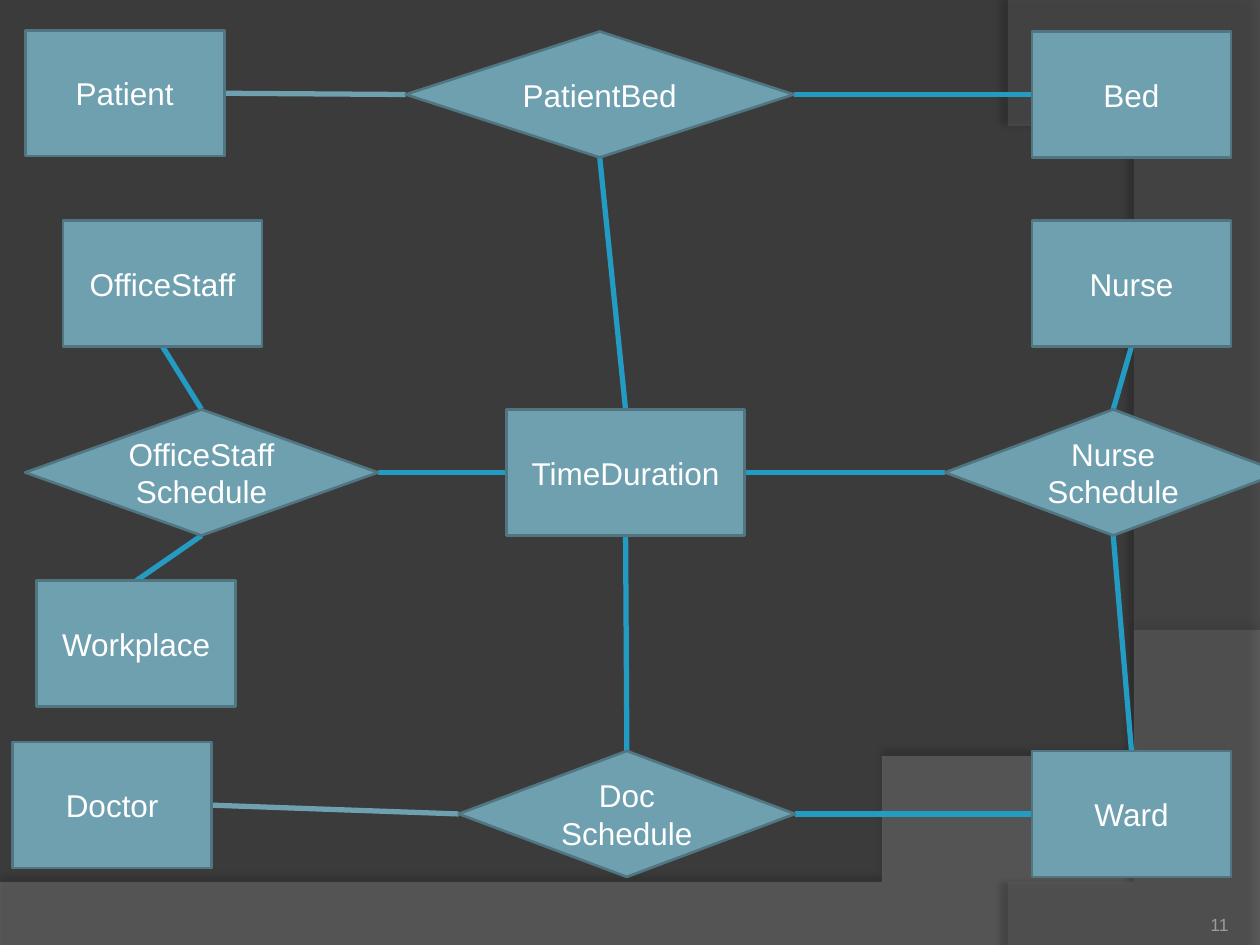
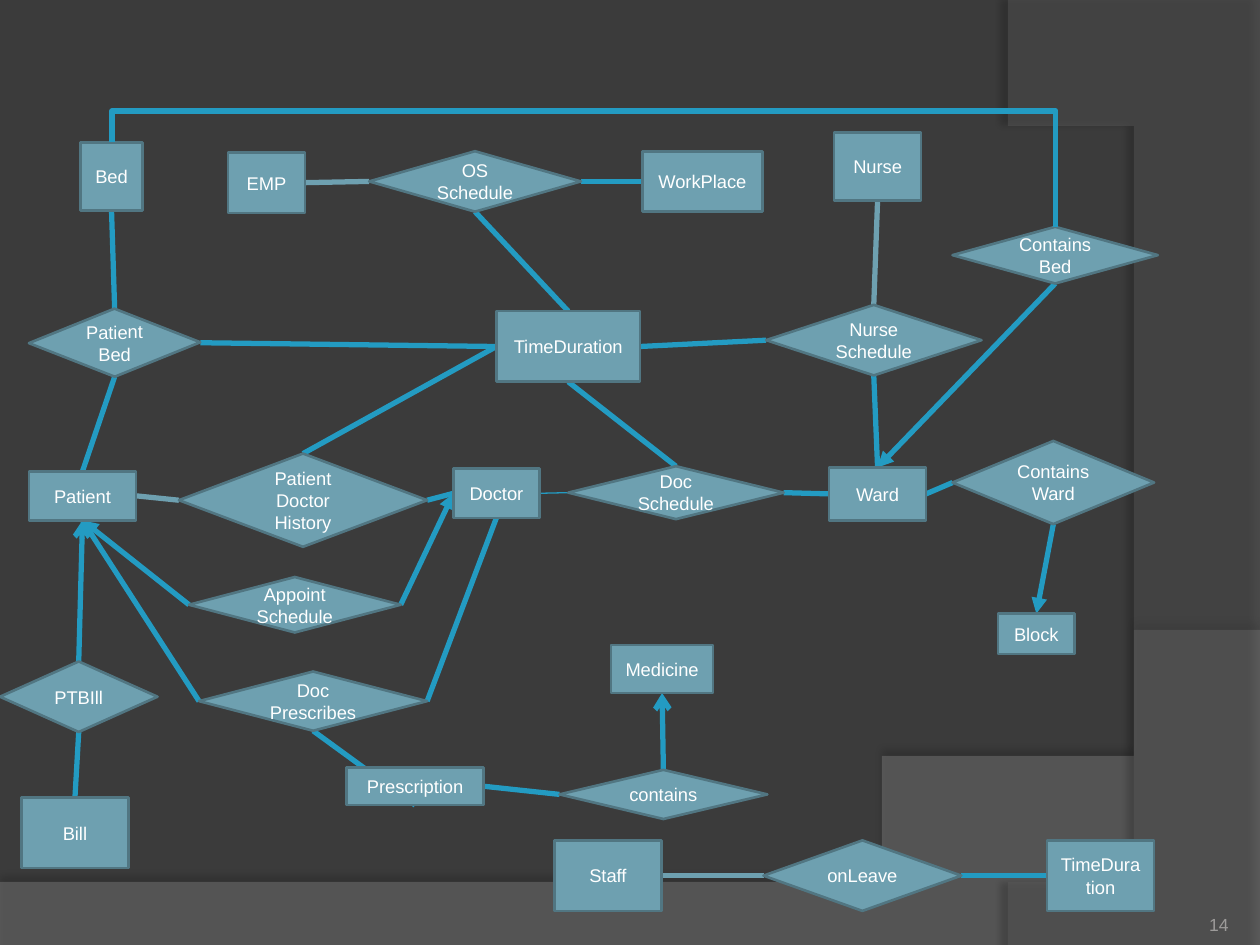
"""Build two entity-relationship slides for a hospital database."""
from dataclasses import dataclass
from enum import IntEnum

from lxml.etree import SubElement
from pptx import Presentation
from pptx.dml.color import RGBColor
from pptx.enum.shapes import MSO_CONNECTOR as Wire, MSO_SHAPE as Form
from pptx.enum.text import MSO_ANCHOR as Anchor, PP_ALIGN as Align
from pptx.oxml.ns import qn
from pptx.util import Cm, Pt

BACK = RGBColor(0x3B, 0x3B, 0x3B)
WAVE = RGBColor(0x7F, 0x7F, 0x7F)
ARC = RGBColor(0x5E, 0x5E, 0x5E)
TEAL = RGBColor(0x6E, 0xA0, 0xB0)
EDGE = RGBColor(0x51, 0x76, 0x82)
BLUE = RGBColor(0x23, 0x9B, 0xC2)
WHITE = RGBColor(0xFF, 0xFF, 0xFF)
GREY = RGBColor(0x9D, 0x9B, 0x9A)
FONT = "Arial"
UNIT = Cm(2.54)


class Side(IntEnum):
    """Connection sites, as numbered on rectangles and diamonds."""
    TOP = 0
    LEFT = 1
    BASE = 2
    RIGHT = 3


TOP, LEFT, BASE, RIGHT = Side


@dataclass
class Node:
    """An entity (box) or a relation (diamond), in inches."""
    key: str
    text: str
    x: float
    y: float
    w: float = 1.58
    h: float = 1
    form: Form = Form.RECTANGLE
    turn: float = 0


@dataclass
class Link:
    """A line between sites of two nodes."""
    start: str
    out: Side
    end: str
    into: Side
    color: RGBColor = BLUE
    width: float = 3
    head: str = ""
    tail: str = ""


def inch(size: float) -> Cm:
    """Turn inches into a length."""
    return Cm(round(size * 2.54, 3))


def gem(key: str, text: str, x: float, y: float, w: float, h: float = 1,
        turn: float = 0) -> Node:
    """Make a diamond node."""
    return Node(key, text, x, y, w, h, Form.DIAMOND, turn)


def write(frame, text: str, *, size: float, color: RGBColor = WHITE,
          align: Align = Align.CENTER, anchor: Anchor = Anchor.MIDDLE) -> None:
    """Fill a text frame, one paragraph per line of text."""
    frame.word_wrap = True
    frame.vertical_anchor = anchor
    frame.text = text
    for para in frame.paragraphs:
        para.alignment = align
        font = para.runs[0].font
        font.name, font.size = FONT, Pt(size)
        font.color.rgb = color


def curve(a: tuple, b: tuple, c: tuple, d: tuple, steps: int = 40) -> list[tuple]:
    """Sample a cubic curve from a to d."""
    spots = []
    for i in range(steps + 1):
        t = i / steps
        u = 1 - t
        spots.append(tuple(u**3 * p + 3 * u * u * t * q + 3 * u * t * t * r + t**3 * s
                           for p, q, r, s in zip(a, b, c, d)))
    return spots


def band(deck, slide, spots: list[tuple], color: RGBColor, alpha: int,
         shade: int, gap: float, angle: int) -> None:
    """Draw a translucent band with a shadow and place it on the master."""
    pen = slide.shapes.build_freeform(*spots[0], scale=UNIT)
    pen.add_line_segments(spots[1:], close=True)
    shape = pen.convert_to_shape()
    shape.fill.solid()
    shape.fill.fore_color.rgb = color
    shape.line.fill.background()
    shape.shadow.inherit = False
    props = shape.element.spPr
    tone = props.find(qn("a:solidFill")).find(qn("a:srgbClr"))
    SubElement(tone, qn("a:alpha"), val=str(alpha * 1000))
    drop = SubElement(props.find(qn("a:effectLst")), qn("a:outerShdw"),
                      blurRad=str(Pt(4)), dist=str(Pt(gap)),
                      dir=str(angle * 60000), algn="ctr", rotWithShape="0")
    dark = SubElement(drop, qn("a:srgbClr"), val="000000")
    SubElement(dark, qn("a:alpha"), val=str(shade * 1000))
    tree = deck.slide_master.shapes.element
    shape.element.nvSpPr.cNvPr.set("id", str(100 + len(tree)))
    tree.insert(len(deck.slide_master.shapes) - len(deck.slide_master.placeholders) + 2,
                shape.element)


def dress(deck, slide) -> None:
    """Give the master its ground and two bands."""
    fill = deck.slide_master.background.fill
    fill.solid()
    fill.fore_color.rgb = BACK
    wave = curve((10, 5.2), (5.59, 7.29), (3.91, 7.19), (0, 7.05))
    band(deck, slide, [(0, 7.51), (10, 7.51), *wave], WAVE, 45, 35, 3.5, 270)
    arc = curve((8.21, 7.5), (9.35, 6.19), (10.18, 3), (8, 0))
    band(deck, slide, [(10, 0.02), (10, 7.5), *arc], ARC, 40, 45, 4, 180)


def box(slide, node: Node, size: float):
    """Draw a node."""
    shape = slide.shapes.add_shape(node.form, *map(inch, (node.x, node.y, node.w, node.h)))
    shape.rotation = node.turn
    shape.shadow.inherit = False
    shape.fill.solid()
    shape.fill.fore_color.rgb = TEAL
    shape.line.color.rgb = EDGE
    shape.line.width = Pt(1.5)
    write(shape.text_frame, node.text, size=size)
    return shape


def style(wire, color: RGBColor = BLUE, width: float = 3,
          head: str = "", tail: str = "") -> None:
    """Set colour, width and arrowheads of a connector."""
    wire.line.color.rgb = color
    wire.line.width = Pt(width)
    props = wire.element.spPr
    for tag, kind in (("a:headEnd", head), ("a:tailEnd", tail)):
        if kind:
            SubElement(props.find(qn("a:ln")), qn(tag), type=kind)
    SubElement(props, qn("a:effectLst"))


def join(slide, link: Link, made: dict) -> None:
    """Glue a line to its two nodes, behind them."""
    wire = slide.shapes.add_connector(Wire.STRAIGHT, 0, 0, 0, 0)
    wire.begin_connect(made[link.start], link.out)
    wire.end_connect(made[link.end], link.into)
    style(wire, link.color, link.width, link.head, link.tail)
    slide.shapes.element.insert(2, wire.element)


def loop(slide) -> None:
    """Draw the bent line over the top from Bed to Contains Bed."""
    wire = slide.shapes.add_connector(
        Wire.ELBOW, *map(inch, (4.97, -2.28, 4.3, 5.21)))
    wire.rotation = 270
    bend = wire.element.spPr.find(qn("a:prstGeom"))
    slot = bend.find(qn("a:avLst"))
    if slot is None:
        slot = SubElement(bend, qn("a:avLst"))
    SubElement(slot, qn("a:gd"), name="adj1", fmla="val -37200")
    style(wire)


def chart(slide, nodes: list[Node], links: list[Link], size: float, page: str) -> None:
    """Draw a whole diagram and its page number."""
    made = {node.key: box(slide, node, size) for node in nodes}
    for link in links:
        join(slide, link, made)
    frame = slide.shapes.add_textbox(*map(inch, (8.92, 7.02, 0.83, 0.4))).text_frame
    frame.margin_left = frame.margin_right = frame.margin_top = frame.margin_bottom = 0
    write(frame, page, size=10, color=GREY, align=Align.RIGHT, anchor=Anchor.BOTTOM)


SHIFTS = [
    Node("pat", "Patient", 0.2, 0.24),
    Node("bed", "Bed", 8.19, 0.25),
    gem("stay", "PatientBed", 3.22, 0.25, 3.08),
    Node("doc", "Doctor", 0.1, 5.89),
    Node("ward", "Ward", 8.19, 5.96),
    gem("duty", "Doc\nSchedule", 3.64, 5.96, 2.67),
    Node("time", "TimeDuration", 4.02, 3.25, 1.89),
    Node("nurse", "Nurse", 8.19, 1.75),
    gem("care", "Nurse\nSchedule", 7.5, 3.25, 2.67),
    gem("desk", "OfficeStaff\nSchedule", 0.2, 3.25, 2.8),
    Node("staff", "OfficeStaff", 0.5, 1.75),
    Node("place", "Workplace", 0.29, 4.61),
]
SHIFT_LINKS = [
    Link("stay", LEFT, "pat", RIGHT, TEAL),
    Link("stay", RIGHT, "bed", LEFT),
    Link("duty", LEFT, "doc", RIGHT, TEAL),
    Link("duty", RIGHT, "ward", LEFT),
    Link("duty", TOP, "time", BASE),
    Link("time", TOP, "stay", BASE),
    Link("time", RIGHT, "care", LEFT),
    Link("nurse", BASE, "care", TOP),
    Link("ward", TOP, "care", BASE),
    Link("desk", RIGHT, "time", LEFT),
    Link("desk", BASE, "place", TOP),
    Link("desk", TOP, "staff", BASE),
]
FULL = [
    Node("pat", "Patient", 0.23, 3.74, 0.85, 0.39),
    Node("doc", "Doctor", 3.6, 3.72, 0.68, 0.39),
    gem("past", "Patient\nDoctor\nHistory", 1.42, 3.6, 1.97, 0.74),
    gem("meet", "Appoint\nSchedule", 1.5, 4.58, 1.68, 0.44),
    Node("ward", "Ward", 6.58, 3.71, 0.77, 0.42),
    gem("duty", "Doc\nSchedule", 4.51, 3.7, 1.71, 0.42),
    Node("nurse", "Nurse", 6.62, 1.05, 0.69, 0.54),
    gem("care", "Nurse\nSchedule", 6.08, 2.42, 1.71, 0.56),
    Node("time", "TimeDuration", 3.94, 2.47, 1.14, 0.56),
    Node("bed", "Bed", 0.64, 1.13, 0.49, 0.54),
    gem("stay", "PatientBed", 0.23, 2.45, 1.36, 0.54, 359.7),
    gem("order", "Doc\nPrescribes", 1.58, 5.33, 1.81, 0.47),
    Node("script", "Prescription", 2.75, 6.09, 1.09, 0.3),
    gem("dose", "contains", 4.44, 6.11, 1.65, 0.39),
    Node("drug", "Medicine", 4.85, 5.12, 0.81, 0.38),
    Node("emp", "EMP", 1.81, 1.21, 0.61, 0.48),
    Node("place", "WorkPlace", 5.1, 1.2, 0.95, 0.48),
    gem("desk", "OS\nSchedule", 2.93, 1.2, 1.68, 0.48),
    Node("block", "Block", 7.92, 4.87, 0.61, 0.32),
    gem("wing", "Contains\nWard", 7.56, 3.5, 1.6, 0.66),
    gem("room", "Contains\nBed", 7.56, 1.8, 1.63, 0.45),
    Node("staff", "Staff", 4.4, 6.67, 0.85, 0.56),
    Node("span", "TimeDuration", 8.31, 6.67, 0.85, 0.56),
    gem("leave", "onLeave", 6.06, 6.67, 1.57, 0.56),
    gem("owes", "PTBIll", 0, 5.25, 1.25, 0.56),
    Node("bill", "Bill", 0.17, 6.33, 0.85, 0.56),
]
FULL_LINKS = [
    Link("past", LEFT, "pat", RIGHT, TEAL),
    Link("past", RIGHT, "doc", LEFT),
    Link("past", TOP, "time", LEFT),
    Link("meet", RIGHT, "doc", LEFT, tail="triangle"),
    Link("pat", BASE, "meet", LEFT, head="triangle"),
    Link("duty", RIGHT, "ward", LEFT),
    Link("duty", TOP, "time", BASE),
    Link("doc", RIGHT, "duty", LEFT, width=0.75),
    Link("care", TOP, "nurse", BASE, TEAL),
    Link("care", BASE, "ward", TOP),
    Link("care", LEFT, "time", RIGHT),
    Link("stay", RIGHT, "time", LEFT),
    Link("stay", TOP, "bed", BASE),
    Link("pat", TOP, "stay", BASE),
    Link("script", BASE, "order", BASE),
    Link("script", RIGHT, "dose", LEFT),
    Link("dose", TOP, "drug", BASE, tail="arrow"),
    Link("pat", BASE, "order", LEFT),
    Link("order", RIGHT, "doc", BASE),
    Link("desk", LEFT, "emp", RIGHT, TEAL),
    Link("desk", RIGHT, "place", LEFT),
    Link("desk", BASE, "time", TOP),
    Link("wing", BASE, "block", TOP, tail="triangle"),
    Link("wing", LEFT, "ward", RIGHT),
    Link("room", BASE, "ward", TOP, tail="triangle"),
    Link("leave", LEFT, "staff", RIGHT, TEAL),
    Link("leave", RIGHT, "span", LEFT),
    Link("owes", BASE, "bill", TOP),
    Link("pat", BASE, "owes", TOP, head="arrow"),
]

deck = Presentation()
deck.slide_width, deck.slide_height = Cm(25.4), Cm(19.05)
first, second = (deck.slides.add_slide(deck.slide_layouts[6]) for _ in range(2))
dress(deck, first)
chart(first, SHIFTS, SHIFT_LINKS, 18, "11")
chart(second, FULL, FULL_LINKS, 10.5, "14")
loop(second)
deck.save("out.pptx")
